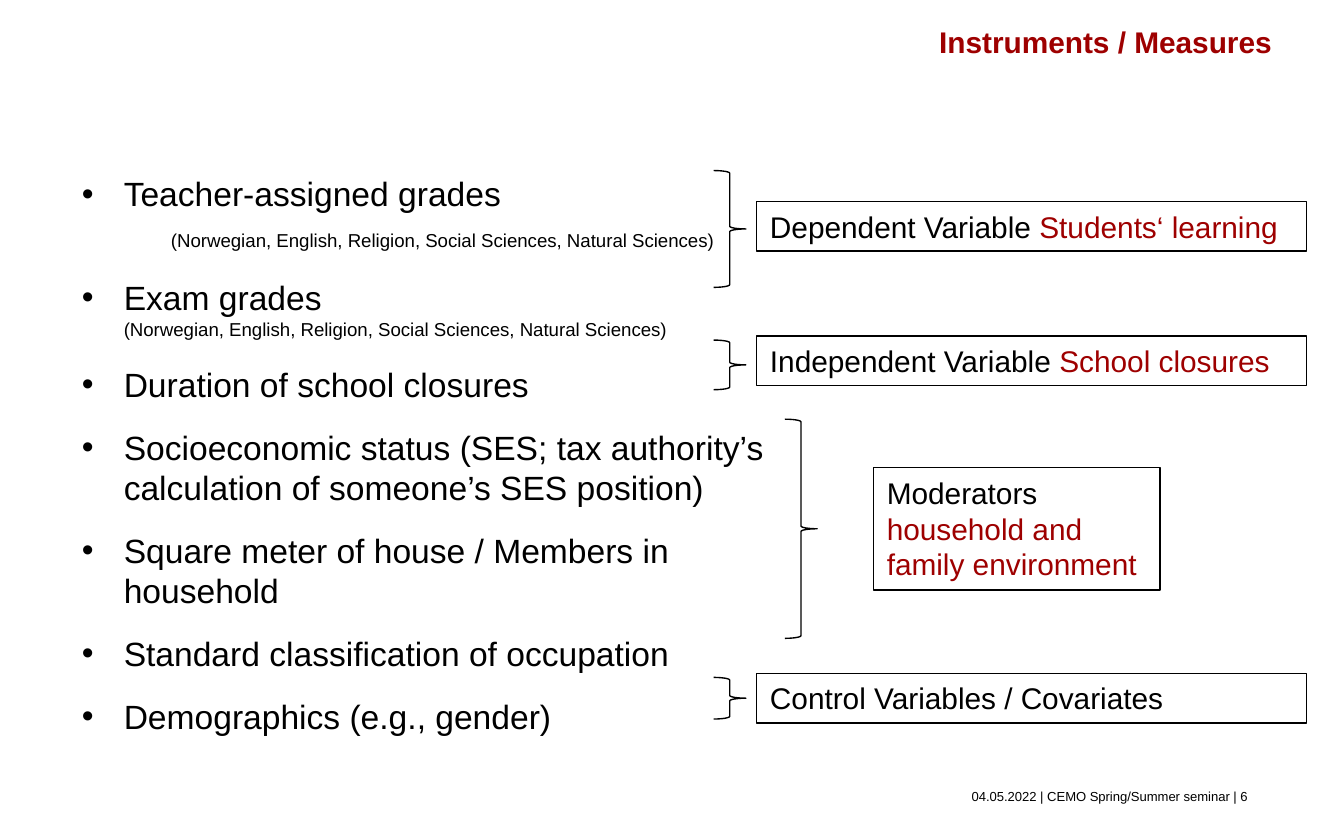
"""Build the slide that sorts the study's measures by their role."""
from typing import Any, NamedTuple

from lxml import etree
from pptx import Presentation
from pptx import util as u
from pptx.dml import color
from pptx.enum import shapes, text
from pptx.oxml import ns

BLACK, RED, WHITE = "000000", "9E0000", "FFFFFF"
SUBJECTS = "(Norwegian, English, Religion, Social Sciences, Natural Sciences)"
INDENT = 22.5


class Run(NamedTuple):
    words: str
    size: float = 16
    hue: str = BLACK
    bold: bool = False


class Line(NamedTuple):
    runs: list[Run]
    before: float = 0
    after: float = 0
    left: float = 0
    mark: bool = False


class Box(NamedTuple):
    x: float
    y: float
    w: float
    h: float


class Label(NamedTuple):
    box: Box
    brace: Box
    lines: list[Line]


def paint(code: str) -> color.RGBColor:
    return color.RGBColor.from_string(code)


def assign(target: Any, values: dict[str, Any]) -> None:
    for name, value in values.items():
        setattr(target, name, value)


def place(box: Box) -> list[u.Length]:
    return [u.Pt(side) for side in box]


def indent(para: Any, line: Line) -> None:
    props = para._p.get_or_add_pPr()
    props.set("marL", str(u.Pt(line.left)))
    if line.mark:
        props.set("indent", str(-u.Pt(INDENT)))
        etree.SubElement(props, ns.qn("a:buFont")).set("typeface", "Arial")
        etree.SubElement(props, ns.qn("a:buChar")).set("char", "•")


def write(frame: Any, lines: list[Line]) -> None:
    assign(frame, {
        "word_wrap": True,
        "auto_size": text.MSO_AUTO_SIZE.SHAPE_TO_FIT_TEXT,
        "vertical_anchor": text.MSO_ANCHOR.TOP,
    })
    for i, line in enumerate(lines):
        para = frame.add_paragraph() if i else frame.paragraphs[0]
        if line.left:
            indent(para, line)
        assign(para, {
            "alignment": text.PP_ALIGN.LEFT,
            "space_before": u.Pt(line.before),
            "space_after": u.Pt(line.after),
        })
        for part in line.runs:
            run = para.add_run()
            run.text = part.words
            assign(run.font, {"name": "Arial", "size": u.Pt(part.size), "bold": part.bold})
            run.font.color.rgb = paint(part.hue)


def add_text(slide: Any, box: Box, lines: list[Line]) -> None:
    write(slide.shapes.add_textbox(*place(box)).text_frame, lines)


def add_shape(slide: Any, kind: Any, box: Box) -> Any:
    shape = slide.shapes.add_shape(kind, *place(box))
    shape.shadow.inherit = False
    shape.line.color.rgb = paint(BLACK)
    shape.line.width = u.Pt(0.75)
    return shape


def add_label(slide: Any, label: Label) -> None:
    brace = add_shape(slide, shapes.MSO_SHAPE.RIGHT_BRACE, label.brace)
    brace.fill.background()
    rect = add_shape(slide, shapes.MSO_SHAPE.RECTANGLE, label.box)
    rect.fill.solid()
    rect.fill.fore_color.rgb = paint(WHITE)
    write(rect.text_frame, label.lines)


def item(words: str, before: float = 6, after: float = 6) -> Line:
    return Line([Run(words, 18)], before, after, INDENT, True)


def note(before: float, after: float, left: float) -> Line:
    return Line([Run(SUBJECTS, 10)], before, after, left)


def wide(y: float) -> Box:
    return Box(405.4, y, 294.5, 26.6)


def brace(y: float, h: float, x: float = 382.3) -> Box:
    return Box(x, y, 17.3, h)


ITEMS = [
    item("Teacher-assigned grades", before=0, after=0),
    note(8.3, 7.7, INDENT + 25.3),
    item("Exam grades", after=0),
    note(0, 7, INDENT),
    item("Duration of school closures"),
    item("Socioeconomic status (SES; tax authority’s calculation of someone’s SES position)"),
    item("Square meter of house / Members in household"),
    item("Standard classification of occupation"),
    item("Demographics (e.g., gender)"),
]

LABELS = [
    Label(wide(108), brace(91.4, 62.6),
          [Line([Run("Dependent Variable "), Run("Students‘ learning", hue=RED)])]),
    Label(wide(180), brace(182.2, 26.6),
          [Line([Run("Independent Variable "), Run("School closures", hue=RED)])]),
    Label(Box(468, 250.6, 153.4, 65.5), brace(224.6, 117.4, 420.5),
          [Line([Run("Moderators")]),
           Line([Run("household and family environment", hue=RED)])]),
    Label(wide(360.7), brace(362.9, 22.3),
          [Line([Run("Control Variables / Covariates")])]),
]


def main() -> None:
    deck = Presentation()
    assign(deck, {"slide_width": u.Pt(720), "slide_height": u.Pt(450)})
    slide = deck.slides.add_slide(deck.slide_layouts[6])
    add_text(slide, Box(36.7, 89.3, 396.7, 300.2), ITEMS)
    add_text(slide, Box(496.1, 9.4, 203.8, 26.6),
             [Line([Run("Instruments / Measures", hue=RED, bold=True)])])
    add_text(slide, Box(513.4, 419, 186.5, 15.8),
             [Line([Run("04.05.2022 | CEMO Spring/Summer seminar | 6", 7)])])
    for label in LABELS:
        add_label(slide, label)
    deck.save("out.pptx")


if __name__ == "__main__":
    main()
